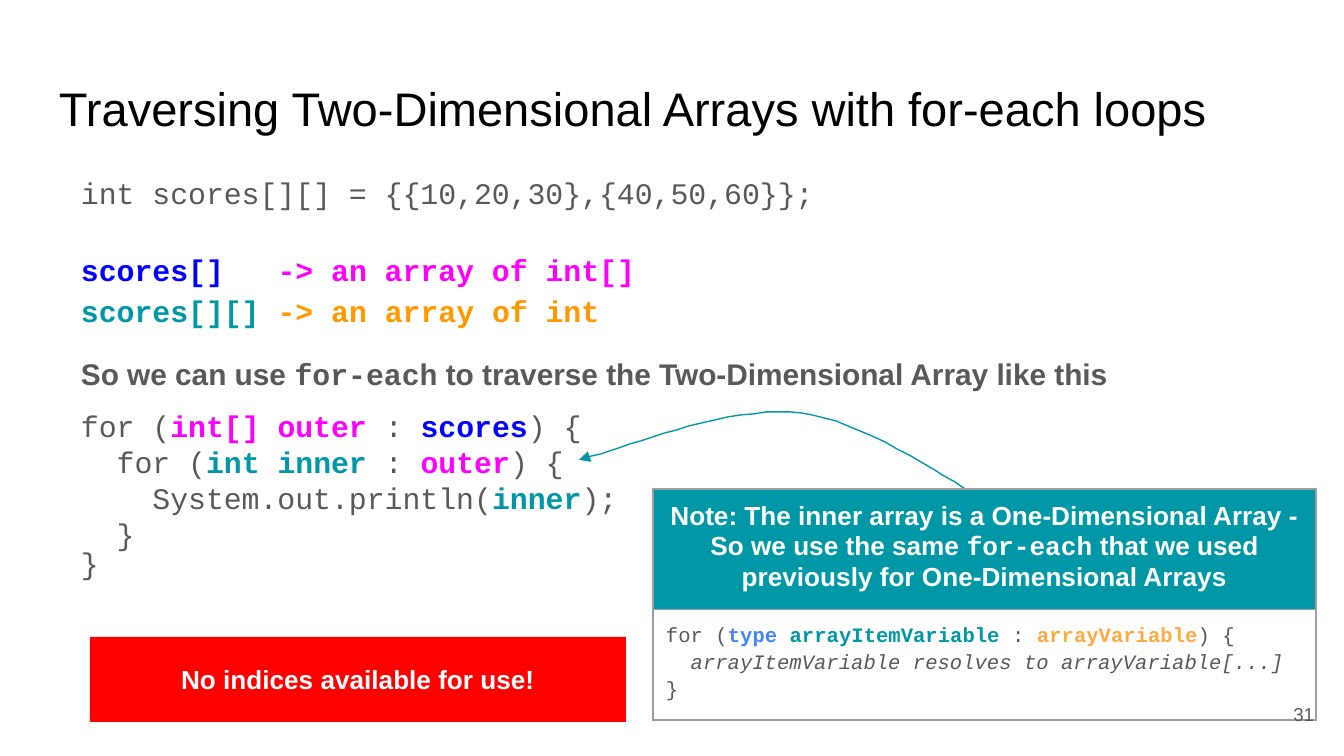
from lxml import etree
from pptx import Presentation
from pptx.dml.color import RGBColor
from pptx.enum.shapes import MSO_SHAPE
from pptx.enum.text import MSO_ANCHOR, PP_ALIGN
from pptx.oxml.ns import qn
from pptx.util import Pt

RECTANGLE = MSO_SHAPE.RECTANGLE
TOP, MIDDLE = MSO_ANCHOR.TOP, MSO_ANCHOR.MIDDLE
LEFT, CENTER, RIGHT = PP_ALIGN.LEFT, PP_ALIGN.CENTER, PP_ALIGN.RIGHT

EMU_PER_PX = 914400 / 134.4
SANS, MONO = "Arial", "Courier New"
GREY, WHITE, BLACK, RED = "595959", "FFFFFF", "000000", "FF0000"
BLUE, PINK, TEAL, ORANGE = "0000FF", "FF00FF", "0097A7", "FF9900"
TYPE_BLUE, ARRAY_ORANGE, BORDER = "4285F4", "FFAB40", "9E9E9E"

# A span is (text, colour, bold) with optional font or italic at the end.
TITLE = "Traversing Two-Dimensional Arrays with for-each loops"
# (line spacing, space before in points, spans)
BODY = [
    (0.8, 0, [("int scores[][] = {{10,20,30},{40,50,60}};", GREY, False)]),
    (1.15, 19, [("scores[]", BLUE, True),
                ("   -> an array of int[]", PINK, True)]),
    (1.15, 0, [("scores[][]", TEAL, True),
               (" -> an array of int", ORANGE, True)]),
    (1.15, 12, [("So we can use ", GREY, True, SANS),
                ("for-each", GREY, True),
                (" to traverse the Two-Dimensional Array like this",
                 GREY, True, SANS)]),
    (0.8, 12, [("for (", GREY, False), ("int[] outer", PINK, True),
               (" : ", GREY, False), ("scores", BLUE, True),
               (") {", GREY, False)]),
    (0.8, 4, [("  for (", GREY, False), ("int inner", TEAL, True),
              (" : ", GREY, False), ("outer", PINK, True),
              (") {", GREY, False)]),
    (0.8, 4, [("    System.out.println(", GREY, False),
              ("inner", TEAL, True), (");", GREY, False)]),
    (0.8, 4, [("  }", GREY, False)]),
    (0.8, 0, [("}", GREY, False)]),
]
NOTE = [(1, 0, [
    ("Note: The inner array is a One-Dimensional Array - "
     "So we use the same ", WHITE, True),
    ("for-each", WHITE, True, MONO),
    (" that we used previously for One-Dimensional Arrays", WHITE, True),
])]
SYNTAX = [
    (1.15, 0, [("for (", GREY, False), ("type ", TYPE_BLUE, True),
               ("arrayItemVariable", TEAL, True), (" : ", GREY, False),
               ("arrayVariable", ARRAY_ORANGE, True), (") {", GREY, False)]),
    (1.15, 0, [("  arrayItemVariable resolves to arrayVariable[...]",
                GREY, False, MONO, True)]),
    (1.15, 0, [("}", GREY, False)]),
]
WARNING = [(1, 0, [("No indices available for use!", WHITE, True)])]
PAGE_NUMBER = [(1, 0, [("31", GREY, False)])]

# Cubic curves from the note to the inner loop, as control points in px
CURVES = [
    [(1013, 517), (977, 500), (874, 422), (801, 413)],
    [(801, 413), (728, 404), (617, 451), (579, 460)],
]
CURVE_STEPS = 20
# (paragraphs, fill, size, font, alignment, row height)
TABLE_ROWS = [
    (NOTE, TEAL, 14, SANS, CENTER, 117),
    (SYNTAX, WHITE, 11, MONO, LEFT, 108),
]
TABLE_LEFT, TABLE_TOP, TABLE_WIDTH = 653, 489, 663
INSET = 13


def px(length):
    return round(length * EMU_PER_PX)


def rgb(colour):
    return RGBColor.from_string(colour)


def paint(fill, colour):
    fill.solid()
    fill.fore_color.rgb = rgb(colour)


def write(frame, paragraphs, size, font, align=LEFT):
    for index, (spacing, before, spans) in enumerate(paragraphs):
        para = frame.paragraphs[0] if index == 0 else frame.add_paragraph()
        para.alignment = align
        para.line_spacing = spacing
        para.space_before = Pt(before)
        for text, colour, bold, *extra in spans:
            span = para.add_run()
            span.text = text
            look = {"size": Pt(size), "name": extra[0] if extra else font,
                    "bold": bold, "italic": len(extra) > 1}
            for name, value in look.items():
                setattr(span.font, name, value)
            span.font.color.rgb = rgb(colour)


def place(shape, left, top, width, height, anchor=TOP, inset_left=INSET):
    shape.left, shape.top = px(left), px(top)
    shape.width, shape.height = px(width), px(height)
    frame = shape.text_frame
    frame.word_wrap = True
    frame.vertical_anchor = anchor
    frame.margin_left = px(inset_left)
    frame.margin_top = frame.margin_right = frame.margin_bottom = px(INSET)
    return frame


def add_text(page, *area, **options):
    return place(page.shapes.add_textbox(0, 0, 0, 0), *area, **options)


def bezier_point(controls, t):
    weights = ((1 - t) ** 3, 3 * t * (1 - t) ** 2, 3 * t * t * (1 - t), t ** 3)
    return tuple(sum(w * point[axis] for w, point in zip(weights, controls))
                 for axis in (0, 1))


def add_curved_arrow(page):
    points = [bezier_point(curve, step / CURVE_STEPS)
              for curve in CURVES for step in range(1, CURVE_STEPS + 1)]
    builder = page.shapes.build_freeform(*CURVES[0][0], scale=EMU_PER_PX)
    builder.add_line_segments(points, close=False)
    arrow = builder.convert_to_shape()
    arrow.shadow.inherit = False
    arrow.fill.background()
    arrow.line.color.rgb = rgb(TEAL)
    arrow.line.width = Pt(0.75)
    etree.SubElement(arrow.line._get_or_add_ln(), qn("a:tailEnd"),
                     type="triangle")


def add_borders(cell):
    properties = cell._tc.get_or_add_tcPr()
    for index, side in enumerate(("lnL", "lnR", "lnT", "lnB")):
        line = etree.Element(qn("a:" + side), w=str(Pt(0.75)))
        solid = etree.SubElement(line, qn("a:solidFill"))
        etree.SubElement(solid, qn("a:srgbClr"), val=BORDER)
        properties.insert(index, line)


def add_note_table(page):
    height = sum(row[-1] for row in TABLE_ROWS)
    table = page.shapes.add_table(
        len(TABLE_ROWS), 1, px(TABLE_LEFT), px(TABLE_TOP),
        px(TABLE_WIDTH), px(height)).table
    table.first_row = table.horz_banding = False
    for index, (text, fill, size, font, align, row_height) in enumerate(TABLE_ROWS):
        table.rows[index].height = px(row_height)
        cell = table.cell(index, 0)
        for side in ("left", "top", "right", "bottom"):
            setattr(cell, "margin_" + side, px(INSET))
        paint(cell.fill, fill)
        add_borders(cell)
        write(cell.text_frame, text, size, font, align)


def main():
    deck = Presentation()
    deck.slide_width, deck.slide_height = px(1344), px(756)
    page = deck.slides.add_slide(deck.slide_layouts[5])

    title = place(page.shapes.title, 46, 66, 1253, 84)
    write(title, [(1, 0, [(TITLE, BLACK, False)])], 25.2, SANS)

    warning = page.shapes.add_shape(RECTANGLE, 0, 0, 0, 0)
    warning.shadow.inherit = False
    paint(warning.fill, RED)
    warning.line.fill.background()
    write(place(warning, 90, 637, 536, 85, anchor=MIDDLE),
          WARNING, 14, SANS, CENTER)

    write(add_text(page, 1, 169, 1253, 503, inset_left=80), BODY, 16, MONO)
    add_curved_arrow(page)
    add_note_table(page)
    write(add_text(page, 1246, 685, 81, 58, anchor=MIDDLE),
          PAGE_NUMBER, 10, SANS, RIGHT)
    deck.save("out.pptx")


if __name__ == "__main__":
    main()
